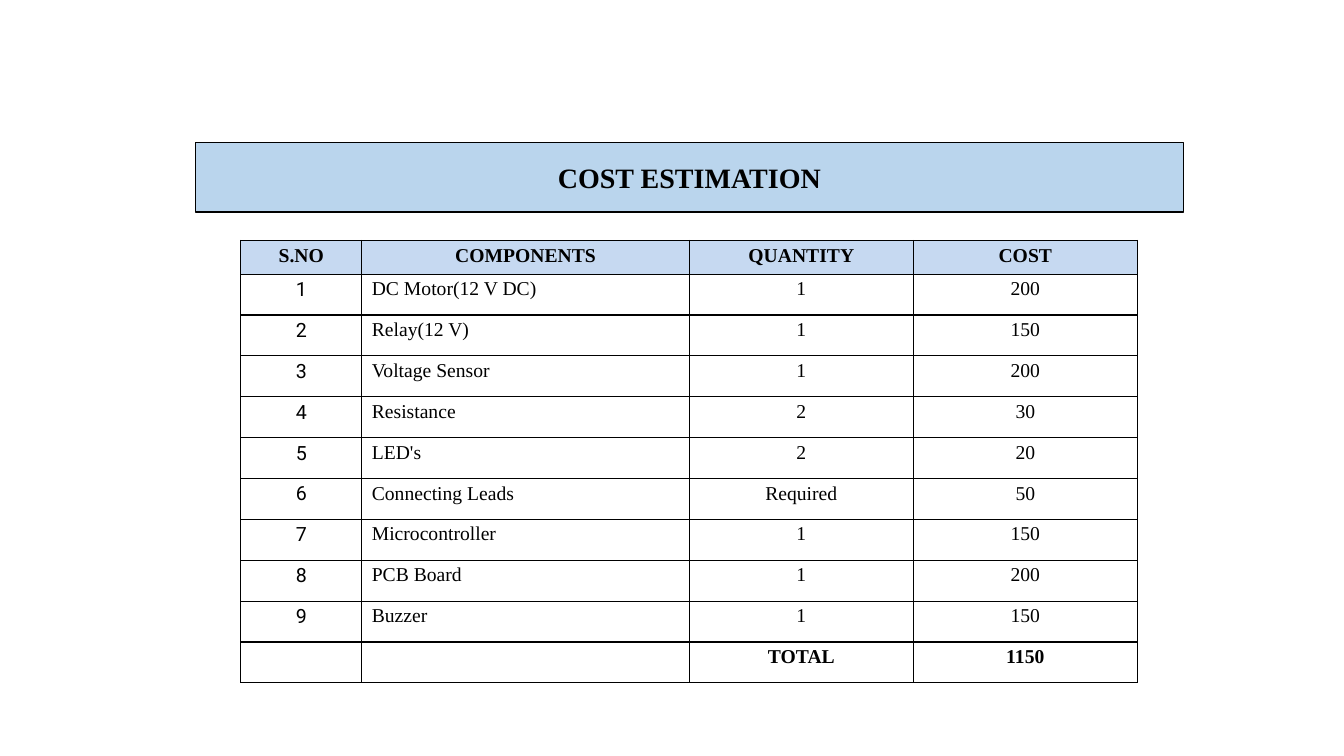
import dataclasses

import pptx
import pptx.dml.color
import pptx.enum.shapes
import pptx.enum.text
import pptx.oxml
import pptx.oxml.ns
import pptx.util

Pt = pptx.util.Pt
ALIGN = pptx.enum.text.PP_ALIGN
ANCHOR = pptx.enum.text.MSO_ANCHOR
SERIF = "Times New Roman"
BLACK = "000000"


@dataclasses.dataclass
class Column:
    head: str
    width: float
    font: str = SERIF
    align: int = ALIGN.CENTER
    inset: float = 0


@dataclasses.dataclass
class Item:
    number: str
    part: str
    count: str
    cost: str
    bold: bool = False


COLUMNS = [
    Column("S.NO", 86.4, font="Roboto"),
    Column("COMPONENTS", 234, align=ALIGN.LEFT, inset=7.2),
    Column("QUANTITY", 160),
    Column("COST", 160),
]
ITEMS = [
    Item("1", "DC Motor(12 V DC)", "1", "200"),
    Item("2", "Relay(12 V)", "1", "150"),
    Item("3", "Voltage Sensor", "1", "200"),
    Item("4", "Resistance", "2", "30"),
    Item("5", "LED's", "2", "20"),
    Item("6", "Connecting Leads", "Required", "50"),
    Item("7", "Microcontroller", "1", "150"),
    Item("8", "PCB Board", "1", "200"),
    Item("9", "Buzzer", "1", "150"),
    Item("", "", "TOTAL", "1150", bold=True),
]
HEAD_ROW, BODY_ROW = 24, 29.2


def color(code: str) -> pptx.dml.color.RGBColor:
    return pptx.dml.color.RGBColor.from_string(code)


def write(frame, text: str, *, size: float = 14, font: str = SERIF,
          bold: bool = False, align: int = ALIGN.CENTER, before: float = 0) -> None:
    line = frame.paragraphs[0]
    line.text = text
    line.alignment = align
    line.space_before = Pt(before)
    line.font.size = Pt(size)
    line.font.name = font
    line.font.bold = bold
    line.font.color.rgb = color(BLACK)


def border(cell, width: float = 1) -> None:
    props = cell._tc.get_or_add_tcPr()
    space = pptx.oxml.ns.nsdecls("a")
    for place, side in enumerate(("lnL", "lnR", "lnT", "lnB")):
        props.insert(place, pptx.oxml.parse_xml(
            f'<a:{side} {space} w="{Pt(width)}"><a:solidFill>'
            f'<a:srgbClr val="{BLACK}"/></a:solidFill></a:{side}>'))


def fit(cell, *, left: float = 0, top: float = 3) -> None:
    cell.margin_left, cell.margin_top = Pt(left), Pt(top)
    cell.margin_right = cell.margin_bottom = 0
    cell.vertical_anchor = ANCHOR.TOP
    border(cell)


def banner(slide) -> None:
    box = slide.shapes.add_shape(pptx.enum.shapes.MSO_SHAPE.RECTANGLE,
                                 Pt(139.5), Pt(102), Pt(706), Pt(49.5))
    box.shadow.inherit = False
    box.fill.solid()
    box.fill.fore_color.rgb = color("BAD5ED")
    box.line.color.rgb = color(BLACK)
    box.line.width = Pt(1)
    frame = box.text_frame
    frame.margin_left = frame.margin_right = 0
    frame.margin_top = frame.margin_bottom = 0
    frame.vertical_anchor = ANCHOR.MIDDLE
    write(frame, "COST ESTIMATION", size=20, bold=True)


def costs(slide) -> None:
    wide = sum(col.width for col in COLUMNS)
    high = HEAD_ROW + BODY_ROW * len(ITEMS)
    table = slide.shapes.add_table(len(ITEMS) + 1, len(COLUMNS), Pt(172), Pt(171.8),
                                   Pt(wide), Pt(high)).table
    table.first_row = table.horz_banding = False
    for index, row in enumerate(table.rows):
        row.height = Pt(BODY_ROW if index else HEAD_ROW)

    for x, col in enumerate(COLUMNS):
        table.columns[x].width = Pt(col.width)
        # Header cell
        cell = table.cell(0, x)
        cell.fill.solid()
        cell.fill.fore_color.rgb = color("C6D9F1")
        fit(cell)
        write(cell.text_frame, col.head, bold=True, before=3.2)
        # Item cells
        for y, item in enumerate(ITEMS, 1):
            cell = table.cell(y, x)
            cell.fill.background()
            fit(cell, left=col.inset)
            write(cell.text_frame, dataclasses.astuple(item)[x], font=col.font,
                  bold=item.bold, align=col.align, before=3.2)


def main() -> None:
    deck = pptx.Presentation()
    deck.slide_width, deck.slide_height = Pt(960), Pt(540)
    slide = deck.slides.add_slide(deck.slide_layouts[6])
    costs(slide)
    banner(slide)
    deck.save("out.pptx")


if __name__ == "__main__":
    main()
